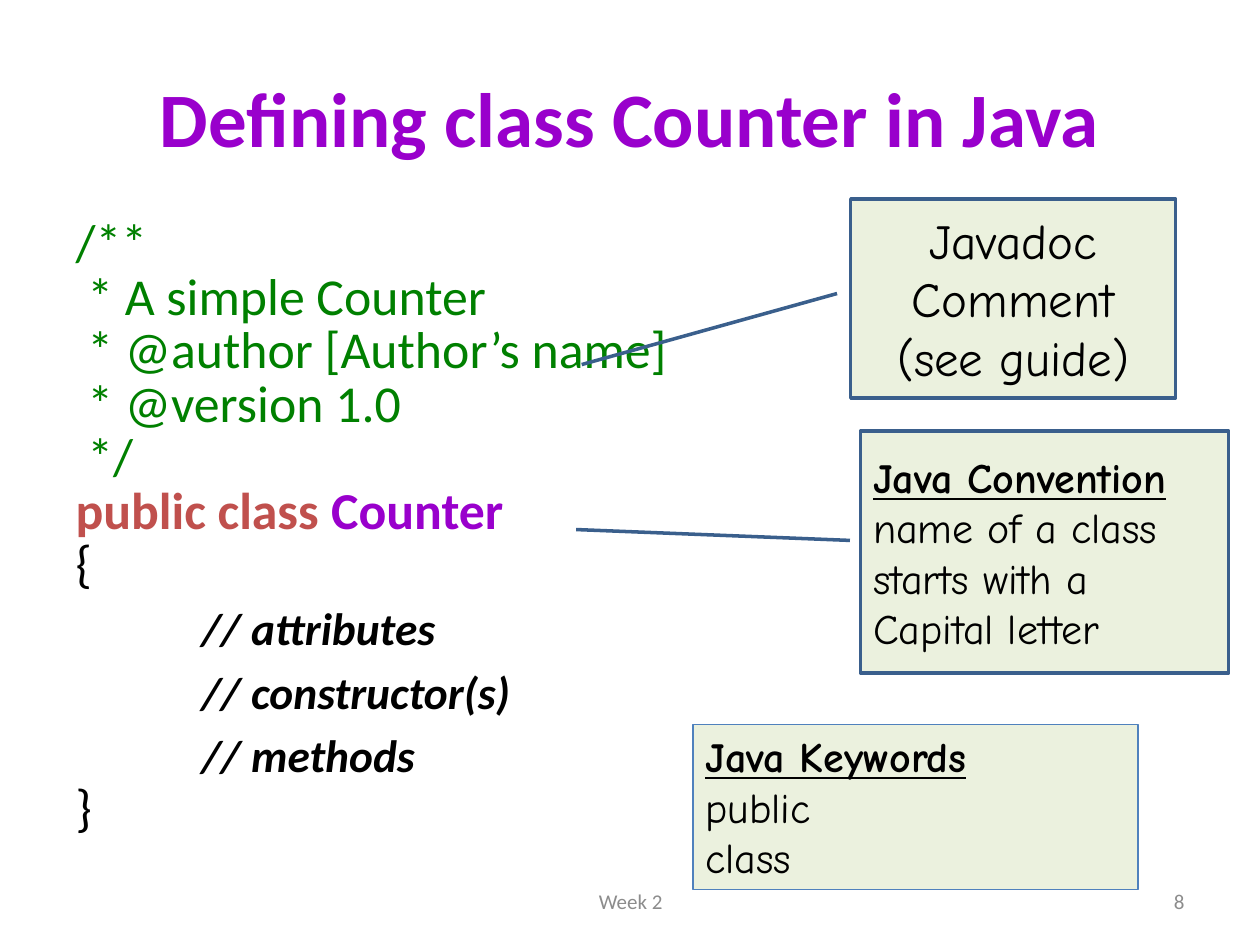
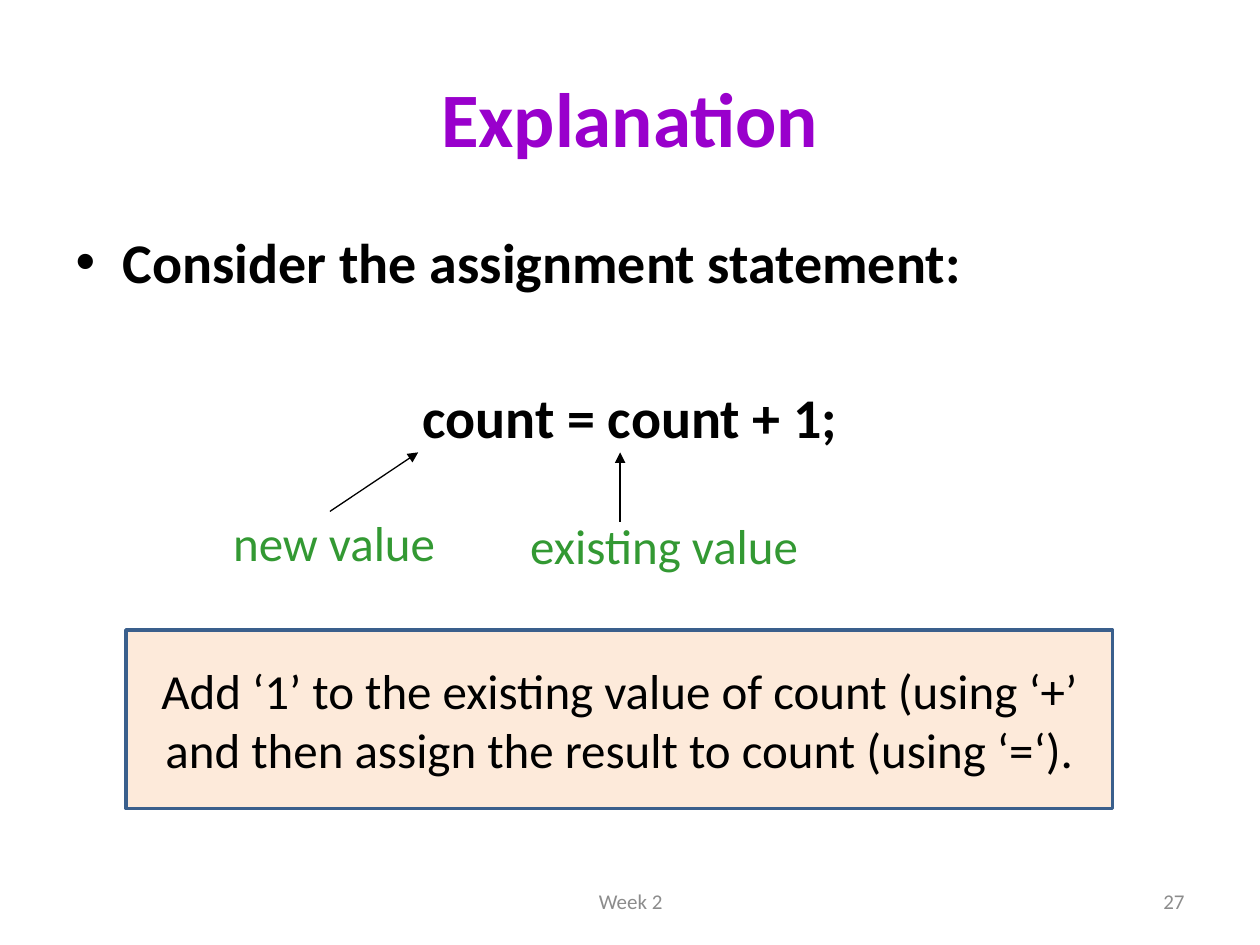
from lxml.etree import SubElement
from pptx import Presentation
from pptx.dml.color import RGBColor
from pptx.enum.shapes import MSO_CONNECTOR as Connector, MSO_SHAPE as Shape
from pptx.enum.text import MSO_ANCHOR as Anchor, MSO_AUTO_SIZE as AutoSize, PP_ALIGN as Align
from pptx.oxml.ns import qn
from pptx.util import Cm, Pt

# Shared look
PURPLE, GREEN, RED, BLACK = "9900CC", "008000", "C0504D", "000000"
LABEL_GREEN, GREY = "339933", "8C8C8C"
PALE_GREEN, PEACH, EDGE, THIN_EDGE = "EBF1DE", "FDEADA", "3A5F8C", "4F81BD"
BODY_FONT, NOTE_FONT = "Calibri", "Comic Neue"
TITLE_BOX = (1.27, 0.76, 22.86, 3.18)
BODY_BOX = (1.27, 4.45, 22.86, 12.57)
FOOTER_BOX = (8.69, 17.65, 8.05, 1.02)
NUMBER_BOX = (18.21, 17.65, 5.92, 1.02)
FOOTER = "Week 2"

# Run formats
CODE = dict(size=29.6, color=BLACK)
COMMENT = dict(CODE, color=GREEN)
KEYWORD = dict(CODE, color=RED, bold=True)
CLASS_NAME = dict(KEYWORD, color=PURPLE)
MEMBER = dict(size=25.9, color=BLACK, bold=True, italic=True)
STATEMENT = dict(size=32, color=BLACK, bold=True)
NOTE = dict(size=24, color=BLACK, name=NOTE_FONT)
NOTE_HEAD = dict(NOTE, bold=True, underline=True)
BIG_NOTE = dict(NOTE, size=28)
LABEL = dict(size=28, color=LABEL_GREEN)

# Paragraph formats
CODE_LINE = dict(line_spacing=0.7, space_before=Pt(5.7))
MEMBER_LINE = dict(space_before=Pt(5.1))
CENTRED = dict(alignment=Align.CENTER)

# Slide content: a paragraph is (runs, paragraph format, left margin or None for a bullet)
COMMENT_LINES = ["/**", " * A simple Counter", " * @author [Author’s name]", " * @version 1.0", " */"]
MEMBERS = ["// attributes", "// constructor(s)", "// methods"]
CLASS_BODY = [
    *[([(line, COMMENT)], CODE_LINE, 0) for line in COMMENT_LINES],
    ([("public class ", KEYWORD), ("Counter", CLASS_NAME)], CODE_LINE, 0),
    ([("{", CODE)], CODE_LINE, 0),
    *[([(line, MEMBER)], MEMBER_LINE, 2.54) for line in MEMBERS],
    ([("}", CODE)], CODE_LINE, 0),
]
EXPLANATION_BODY = [
    ([("Consider the assignment statement:", STATEMENT)], dict(space_before=Pt(6.4)), None),
    ([("count = count + 1;", STATEMENT)], dict(CENTRED, space_before=Pt(50.5)), 0),
]
# Notes: shape, box, fill, edge, edge width, anchor, callout adjustments, paragraphs
CLASS_NOTES = [
    (Shape.LINE_CALLOUT_1, (17.35, 8.69, 7.42, 4.88), PALE_GREEN, EDGE, 2, Anchor.MIDDLE,
     (0.452, -0.029, 0.407, -0.773),
     [([("Java Convention", NOTE_HEAD)], {}, 0),
      ([("name of a class starts with a Capital letter", NOTE)], {}, 0)]),
    (Shape.LINE_CALLOUT_1, (17.15, 4.01, 6.55, 4.01), PALE_GREEN, EDGE, 2, Anchor.MIDDLE,
     (0.476, -0.042, 0.833, -0.828),
     [([(line, BIG_NOTE)], CENTRED, 0) for line in ("Javadoc Comment", "(see guide)")]),
    (Shape.RECTANGLE, (13.97, 14.61, 8.97, 3.33), PALE_GREEN, THIN_EDGE, 0.75, Anchor.TOP, (),
     [([("Java Keywords", NOTE_HEAD)], {}, 0),
      *[([(word, NOTE)], {}, 0) for word in ("public", "class")]]),
]
EXPLANATION_NOTES = [
    (Shape.RECTANGLE, (2.54, 12.7, 19.89, 3.6), PEACH, EDGE, 2, Anchor.MIDDLE, (),
     [([("Add ‘1’ to the existing value of count (using ‘+’ and then assign "
         "the result to count (using ‘=‘).", dict(size=28, color=BLACK))], CENTRED, 0)]),
]
# Labels: text, box, arrow start and end
VALUE_LABELS = [
    ("existing value", (10.44, 10.26, 5.97, 1.45), (12.5, 10.52, 12.5, 9.12)),
    ("new value", (4.45, 10.21, 4.85, 1.45), (6.65, 10.31, 8.43, 9.12)),
]
SLIDES = [
    ("Defining class Counter in Java", "8", CLASS_BODY, CLASS_NOTES, []),
    ("Explanation", "27", EXPLANATION_BODY, EXPLANATION_NOTES, VALUE_LABELS),
]


def rgb(value):
    return RGBColor.from_string(value)


def lengths(values):
    return [Cm(value) for value in values]


def place(shape, box):
    shape.left, shape.top, shape.width, shape.height = lengths(box)


def format_run(run, style):
    for key, value in {"name": BODY_FONT, "bold": False, **style}.items():
        if key == "color":
            run.font.color.rgb = rgb(value)
        else:
            setattr(run.font, key, Pt(value) if key == "size" else value)


def write(shape, paragraphs, anchor=Anchor.TOP, wrap=True):
    frame = shape.text_frame
    frame.auto_size, frame.word_wrap = AutoSize.NONE, wrap
    frame.vertical_anchor = anchor
    for index, (runs, layout, margin) in enumerate(paragraphs):
        paragraph = frame.add_paragraph() if index else frame.paragraphs[0]
        for key, value in {"alignment": Align.LEFT, **layout}.items():
            setattr(paragraph, key, value)
        if margin is not None:
            properties = paragraph._p.get_or_add_pPr()
            properties.set("marL", str(Cm(margin)))
            properties.set("indent", "0")
            SubElement(properties, qn("a:buNone"))
        for text, style in runs:
            run = paragraph.add_run()
            run.text = text
            format_run(run, style)


def add_text(slide, box, text, style, align=Align.LEFT, anchor=Anchor.TOP, wrap=True):
    shape = slide.shapes.add_textbox(*lengths(box))
    write(shape, [([(text, style)], dict(alignment=align), 0)], anchor, wrap)


def add_note(slide, kind, box, fill, edge, width, anchor, adjustments, paragraphs):
    shape = slide.shapes.add_shape(kind, *lengths(box))
    shape.shadow.inherit = False
    shape.fill.solid()
    shape.fill.fore_color.rgb = rgb(fill)
    shape.line.color.rgb = rgb(edge)
    shape.line.width = Pt(width)
    for index, value in enumerate(adjustments):
        shape.adjustments[index] = value
    write(shape, paragraphs, anchor)


def add_arrow(slide, ends):
    arrow = slide.shapes.add_connector(Connector.STRAIGHT, *lengths(ends))
    arrow.line.color.rgb = rgb(BLACK)
    arrow.line.width = Pt(0.75)
    SubElement(arrow.line._get_or_add_ln(), qn("a:tailEnd"), type="triangle")
    SubElement(arrow._element.spPr, qn("a:effectLst"))


# Build the slides
presentation = Presentation()
presentation.slide_width, presentation.slide_height = Cm(25.4), Cm(19.05)

for title, number, body, notes, labels in SLIDES:
    slide = presentation.slides.add_slide(presentation.slide_layouts[1])
    heading, content = slide.placeholders
    place(heading, TITLE_BOX)
    place(content, BODY_BOX)
    write(heading, [([(title, dict(size=44, color=PURPLE, bold=True))], CENTRED, 0)], Anchor.MIDDLE)
    write(content, body)
    for note in notes:
        add_note(slide, *note)
    for text, box, ends in labels:
        add_text(slide, box, text, LABEL, wrap=False)
        add_arrow(slide, ends)
    # Footer and slide number
    for box, text, align in ((FOOTER_BOX, FOOTER, Align.CENTER), (NUMBER_BOX, number, Align.RIGHT)):
        add_text(slide, box, text, dict(size=12, color=GREY), align, Anchor.MIDDLE)

presentation.save("out.pptx")
